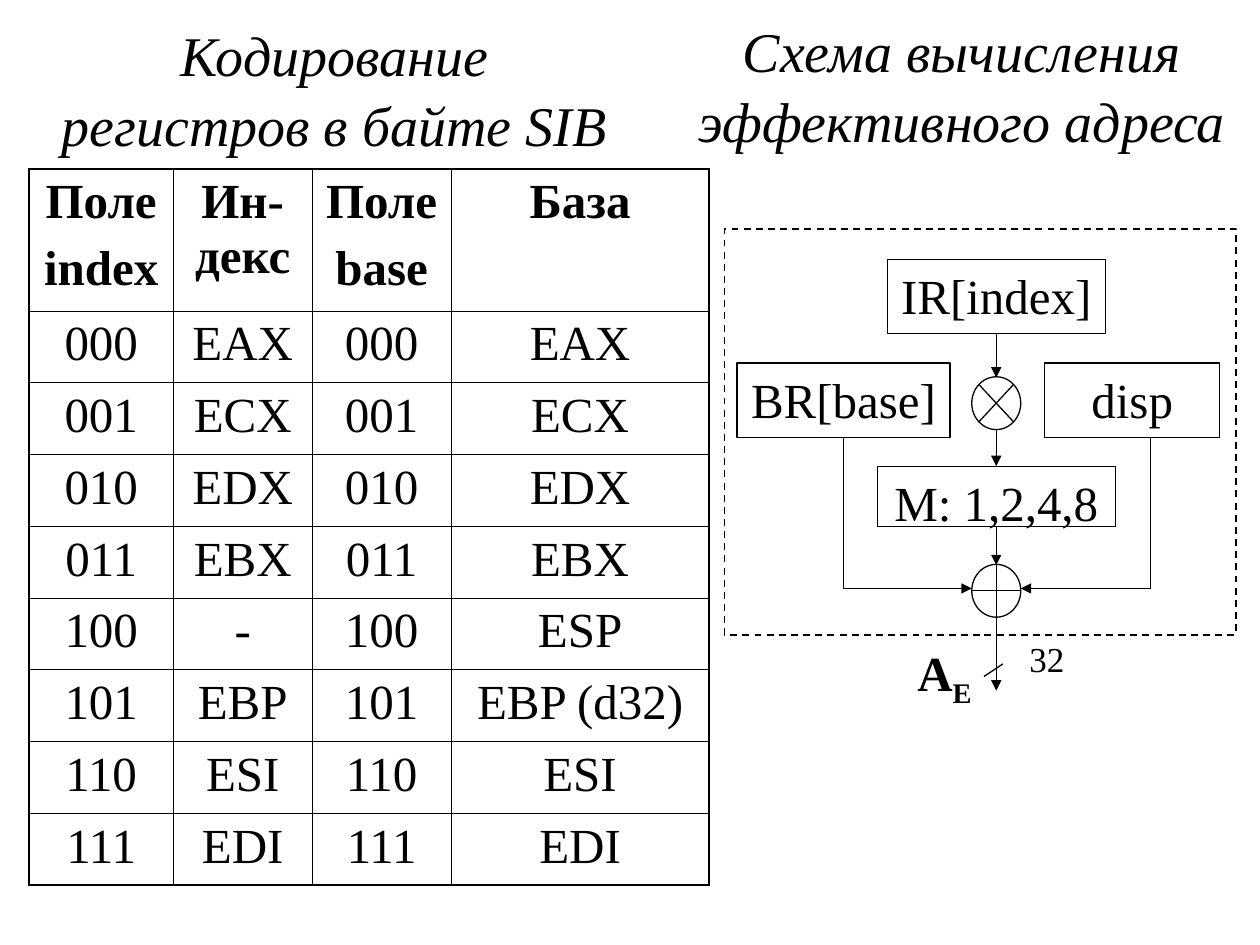
from dataclasses import dataclass
from typing import Any

from lxml import etree
from pptx import Presentation
from pptx.dml.color import RGBColor
from pptx.enum.dml import MSO_LINE
from pptx.enum.shapes import MSO_CONNECTOR, MSO_SHAPE
from pptx.enum.text import MSO_ANCHOR, MSO_AUTO_SIZE, PP_ALIGN
from pptx.oxml.ns import qn
from pptx.util import Pt

RECTANGLE = MSO_SHAPE.RECTANGLE
MULTIPLIER = MSO_SHAPE.FLOWCHART_SUMMING_JUNCTION
ADDER = MSO_SHAPE.FLOWCHART_OR
STRAIGHT = MSO_CONNECTOR.STRAIGHT
TOP, MIDDLE = MSO_ANCHOR.TOP, MSO_ANCHOR.MIDDLE
CENTER = PP_ALIGN.CENTER
TOP_SIDE, BOTTOM_SIDE = 0, 2

BLACK, WHITE = "000000", "FFFFFF"
BODY = {"name": "Times New Roman", "size": Pt(28), "bold": False, "italic": False}
HEADER = BODY | {"bold": True}
HEADING = BODY | {"size": Pt(32), "italic": True}
SMALL = BODY | {"size": Pt(20)}

LINE_WIDTH = 0.75
OUTER_BORDER, INNER_BORDER = 1.08, 0.45

AXIS = 569.3
BUS_Y = 336.3
BASE_X, DISP_X = 482, 657.5
JUNCTION_WIDTH, JUNCTION_HEIGHT = 28, 30.2

COLUMN_WIDTHS = (82.3, 79.4, 79.4, 147.4)
HEADER_HEIGHT, ROW_HEIGHT = 81.2, 41
TABLE_HEADER = ("Поле\nindex", "Ин-\vдекс", "Поле\nbase", "База")
REGISTERS = (
    ("EAX", "EAX"), ("ECX", "ECX"), ("EDX", "EDX"), ("EBX", "EBX"),
    ("-", "ESP"), ("EBP", "EBP (d32)"), ("ESI", "ESI"), ("EDI", "EDI"),
)


@dataclass
class Area:
    left: float
    top: float
    width: float
    height: float

    def lengths(self) -> list[Pt]:
        return [Pt(v) for v in (self.left, self.top, self.width, self.height)]


@dataclass
class Block:
    center: float
    top: float
    width: float
    height: float
    text: str = ""
    kind: Any = RECTANGLE

    def area(self) -> Area:
        return Area(self.center - self.width / 2, self.top, self.width, self.height)


@dataclass
class Wire:
    start: tuple[float, float]
    end: tuple[float, float]
    arrow: bool = True
    source: str = ""
    target: str = ""


BLOCKS = (
    Block(647, 207.4, 100, 42.5, "disp"),
    Block(BASE_X, 207.4, 121.7, 42.5, "BR[base]"),
    Block(AXIS, 215.3, JUNCTION_WIDTH, JUNCTION_HEIGHT, kind=MULTIPLIER),
    Block(AXIS, 148.3, 124.6, 42.5, "IR[index]"),
    Block(AXIS, 266.4, 136, 34.6, "М: 1,2,4,8"),
    Block(AXIS, 322.5, JUNCTION_WIDTH, JUNCTION_HEIGHT, kind=ADDER),
)
WIRES = (
    Wire((BASE_X, 249.9), (BASE_X, BUS_Y), arrow=False, source="BR[base]"),
    Wire((AXIS, 190.8), (AXIS, 215.8), source="IR[index]"),
    Wire((AXIS, 245.5), (AXIS, 266.4), target="М: 1,2,4,8"),
    Wire((AXIS, 301), (AXIS, 323), source="М: 1,2,4,8"),
    Wire((BASE_X, BUS_Y), (AXIS - JUNCTION_WIDTH / 2, BUS_Y)),
    Wire((DISP_X, BUS_Y), (AXIS + JUNCTION_WIDTH / 2, BUS_Y)),
    Wire((DISP_X, 249.9), (DISP_X, BUS_Y), arrow=False),
    Wire((562.3, 386.6), (573.1, 379.4), arrow=False),
    Wire((AXIS, BUS_Y), (AXIS, 394.6)),
)


def color(code: str) -> RGBColor:
    return RGBColor.from_string(code)


def style_font(font: Any, style: dict[str, Any]) -> None:
    for name, value in style.items():
        setattr(font, name, value)
    font.color.rgb = color(BLACK)


def write_text(frame: Any, text: str, style: dict[str, Any], gap: float = 0) -> None:
    """Write centred paragraphs, with a gap before each one but the first."""
    frame.word_wrap = True
    frame.text = text
    for index, para in enumerate(frame.paragraphs):
        para.alignment = CENTER
        if index:
            para.space_before = Pt(gap)
        for span in para.runs:
            style_font(span.font, style)


def write_heading(box: Any, text: str) -> None:
    frame = box.text_frame
    write_text(frame, text, HEADING)
    frame.auto_size = MSO_AUTO_SIZE.NONE
    frame.vertical_anchor = MIDDLE
    frame.paragraphs[0].line_spacing = 1.05


def add_headings(page: Any) -> None:
    title = page.shapes.title
    area = Area(22.3, 17.3, 337.7, 65.5)
    for name, value in zip(("left", "top", "width", "height"), area.lengths()):
        setattr(title, name, value)
    write_heading(title, "Кодирование регистров в байте SIB")
    box = page.shapes.add_textbox(*Area(388, 15, 323.3, 65.5).lengths())
    write_heading(box, "Схема вычисления эффективного адреса")


def set_border(cell: Any, side: str, width: float) -> None:
    properties = cell._tc.get_or_add_tcPr()
    line = etree.SubElement(properties, qn(f"a:ln{side}"), w=str(int(Pt(width))))
    fill = etree.SubElement(line, qn("a:solidFill"))
    etree.SubElement(fill, qn("a:srgbClr"), val=BLACK)


def add_register_table(page: Any) -> None:
    rows = [TABLE_HEADER]
    for number, (index, base) in enumerate(REGISTERS):
        rows.append((f"{number:03b}", index, f"{number:03b}", base))
    heights = [HEADER_HEIGHT] + [ROW_HEIGHT] * len(REGISTERS)
    area = Area(16.7, 96.5, sum(COLUMN_WIDTHS), sum(heights))
    table = page.shapes.add_table(len(rows), len(COLUMN_WIDTHS), *area.lengths()).table
    table.first_row = table.horz_banding = False
    for column, width in zip(table.columns, COLUMN_WIDTHS):
        column.width = Pt(width)
    last_row, last_column = len(rows) - 1, len(COLUMN_WIDTHS) - 1
    for r, (values, height) in enumerate(zip(rows, heights)):
        table.rows[r].height = Pt(height)
        for c, text in enumerate(values):
            cell = table.cell(r, c)
            write_text(cell.text_frame, text, BODY if r else HEADER, gap=7)
            outer = {"L": c == 0, "R": c == last_column, "T": r == 0, "B": r == last_row}
            for side, is_outer in outer.items():
                set_border(cell, side, OUTER_BORDER if is_outer else INNER_BORDER)
            cell.fill.background()


def add_outlined(page: Any, kind: Any, area: Area, width: float) -> Any:
    shape = page.shapes.add_shape(kind, *area.lengths())
    shape.shadow.inherit = False
    shape.line.color.rgb = color(BLACK)
    shape.line.width = Pt(width)
    return shape


def add_block(page: Any, block: Block) -> Any:
    shape = add_outlined(page, block.kind, block.area(), LINE_WIDTH)
    shape.fill.solid()
    shape.fill.fore_color.rgb = color(WHITE)
    if block.text:
        write_text(shape.text_frame, block.text, BODY)
        shape.text_frame.vertical_anchor = TOP
    return shape


def add_wire(page: Any, wire: Wire, boxes: dict[str, Any]) -> None:
    ends = [Pt(v) for v in wire.start + wire.end]
    connector = page.shapes.add_connector(STRAIGHT, *ends)
    connector.line.color.rgb = color(BLACK)
    connector.line.width = Pt(LINE_WIDTH)
    if wire.arrow:
        etree.SubElement(connector.line._get_or_add_ln(), qn("a:tailEnd"), type="triangle")
    etree.SubElement(connector._element.spPr, qn("a:effectLst"))
    if wire.source:
        connector.begin_connect(boxes[wire.source], BOTTOM_SIDE)
    if wire.target:
        connector.end_connect(boxes[wire.target], TOP_SIDE)


def add_label(page: Any, area: Area, text: str, style: dict[str, Any]) -> Any:
    box = page.shapes.add_textbox(*area.lengths())
    write_text(box.text_frame, text, style)
    return box.text_frame.paragraphs[0]


def add_address_scheme(page: Any) -> None:
    boxes = {block.text: add_block(page, block) for block in BLOCKS}
    frame = add_outlined(page, RECTANGLE, Area(414, 131, 292.3, 231.8), 1)
    frame.fill.background()
    frame.line.dash_style = MSO_LINE.DASH
    for wire in WIRES:
        add_wire(page, wire, boxes)
    add_label(page, Area(569.5, 360.7, 57.6, 34.6), "32", SMALL)
    para = add_label(page, Area(513.4, 363.6, 52.6, 34.6), "А", HEADER)
    subscript = para.add_run()
    subscript.text = "Е"
    style_font(subscript.font, HEADER)
    subscript._r.get_or_add_rPr().set("baseline", "-25000")


def main() -> None:
    deck = Presentation()
    deck.slide_width, deck.slide_height = Pt(720), Pt(540)
    page = deck.slides.add_slide(deck.slide_layouts.get_by_name("Title Only"))
    add_register_table(page)
    add_headings(page)
    add_address_scheme(page)
    deck.save("out.pptx")


if __name__ == "__main__":
    main()
